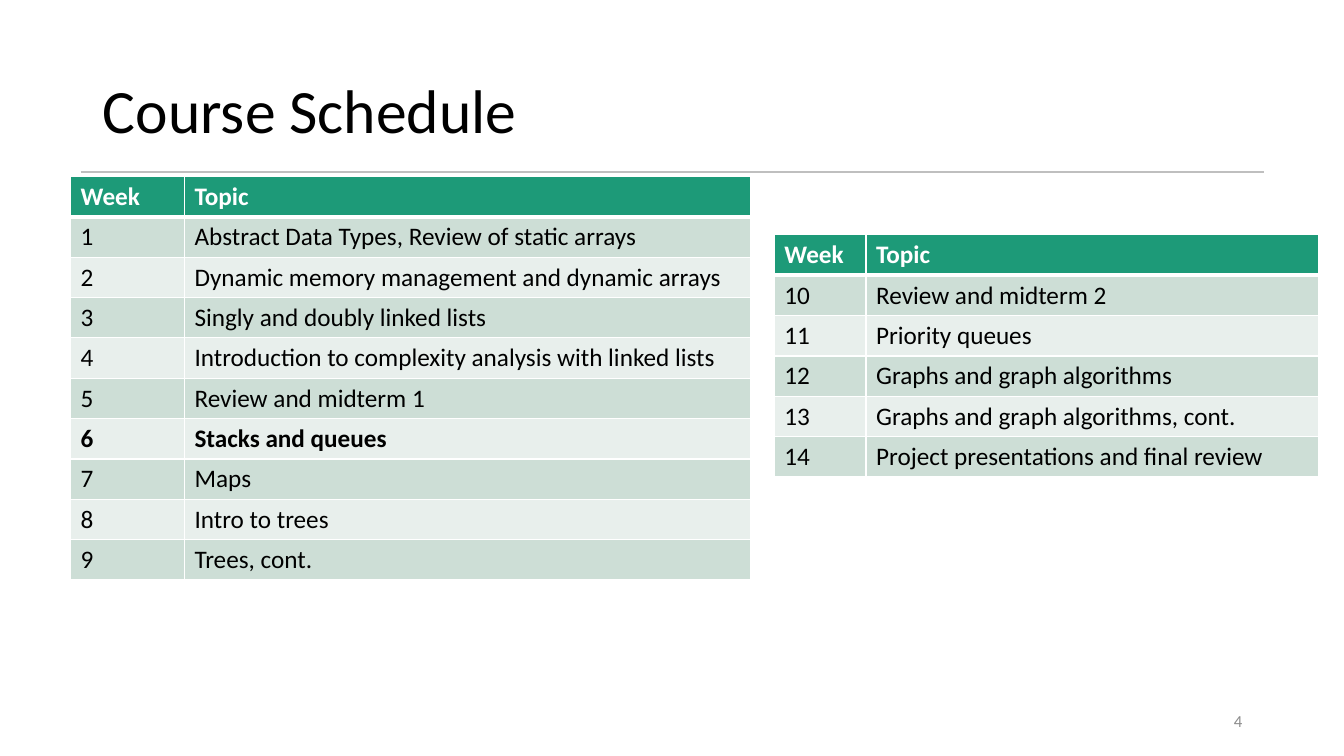
from lxml import etree
from pptx import Presentation
from pptx.dml.color import RGBColor
from pptx.enum.shapes import MSO_CONNECTOR
from pptx.enum.text import MSO_ANCHOR, PP_ALIGN
from pptx.oxml.ns import qn
from pptx.util import Inches, Pt

STRAIGHT = MSO_CONNECTOR.STRAIGHT
MIDDLE = MSO_ANCHOR.MIDDLE
RIGHT = PP_ALIGN.RIGHT
TITLE_ONLY = 5
FONT = "Calibri"
ROW_HEIGHT = 0.4
CURRENT_WEEK = 6
COLORS = {
    "text": "000000",
    "white": "FFFFFF",
    "header": "1D9A78",
    "odd": "CDDED6",
    "even": "E8EFEC",
    "rule": "BFBFBF",
    "number": "8C8C8C",
}
FIRST_TOPICS = [
    "Abstract Data Types, Review of static arrays",
    "Dynamic memory management and dynamic arrays",
    "Singly and doubly linked lists",
    "Introduction to complexity analysis with linked lists",
    "Review and midterm 1",
    "Stacks and queues",
    "Maps",
    "Intro to trees",
    "Trees, cont.",
]
LAST_TOPICS = [
    "Review and midterm 2",
    "Priority queues",
    "Graphs and graph algorithms",
    "Graphs and graph algorithms, cont.",
    "Project presentations and final review",
]


def color(name):
    return RGBColor.from_string(COLORS[name])


def write(frame, text, size, color_name, bold=False):
    frame.text = text
    para = frame.paragraphs[0]
    font = para.runs[0].font
    font.name = FONT
    font.size = Pt(size)
    font.bold = bold
    font.color.rgb = color(color_name)
    return para


def place(shape, left, top, width, height):
    shape.left, shape.top = Inches(left), Inches(top)
    shape.width, shape.height = Inches(width), Inches(height)


def add_title(slide, text):
    title = slide.shapes.title
    place(title, 0.92, 0.4, 11.5, 1.45)
    title.text_frame.vertical_anchor = MIDDLE
    para = write(title.text_frame, text, 44, "text")
    para.alignment = PP_ALIGN.LEFT
    para.line_spacing = 0.9


def add_rule(slide, left, right, top):
    rule = slide.shapes.add_connector(
        STRAIGHT, Inches(left), Inches(top), Inches(right), Inches(top))
    rule.line.color.rgb = color("rule")
    rule.line.width = Pt(1.5)
    etree.SubElement(rule._element.spPr, qn("a:effectLst"))


def add_page_number(slide, text):
    box = slide.shapes.add_textbox(
        Inches(9.42), Inches(6.95), Inches(3), Inches(0.4))
    box.text_frame.word_wrap = True
    box.text_frame.vertical_anchor = MIDDLE
    write(box.text_frame, text, 12, "number").alignment = RIGHT


def add_borders(cell, top, bottom):
    properties = cell._tc.get_or_add_tcPr()
    for side, width in (("L", 1), ("R", 1), ("T", top), ("B", bottom)):
        border = etree.SubElement(properties, qn(f"a:ln{side}"), w=str(Pt(width)))
        fill = etree.SubElement(border, qn("a:solidFill"))
        etree.SubElement(fill, qn("a:srgbClr"), val=COLORS["white"])


def add_schedule(slide, left, top, widths, first_week, topics):
    rows = [("Week", "Topic")]
    rows += [(str(week), topic) for week, topic in enumerate(topics, first_week)]
    frame = slide.shapes.add_table(
        len(rows), len(widths), Inches(left), Inches(top),
        Inches(sum(widths)), Inches(ROW_HEIGHT * len(rows)))
    table = frame.table
    for column, width in zip(table.columns, widths):
        column.width = Inches(width)
    for row_index, values in enumerate(rows):
        header = row_index == 0
        fill_name = "header" if header else ("even", "odd")[row_index % 2]
        bold = header or values[0] == str(CURRENT_WEEK)
        for column_index, value in enumerate(values):
            cell = table.cell(row_index, column_index)
            add_borders(cell, 3 if row_index == 1 else 1, 3 if header else 1)
            cell.fill.solid()
            cell.fill.fore_color.rgb = color(fill_name)
            write(cell.text_frame, value, 18, "white" if header else "text", bold)


def main():
    deck = Presentation()
    deck.slide_width, deck.slide_height = Inches(13.33), Inches(7.5)
    slide = deck.slides.add_slide(deck.slide_layouts[TITLE_ONLY])
    add_rule(slide, 0.8, 12.54, 1.71)
    add_title(slide, "Course Schedule")
    add_page_number(slide, "4")
    add_schedule(slide, 0.7, 1.75, (1.13, 5.61), 1, FIRST_TOPICS)
    add_schedule(slide, 7.68, 2.33, (0.91, 4.49), 10, LAST_TOPICS)
    deck.save("out.pptx")


if __name__ == "__main__":
    main()
